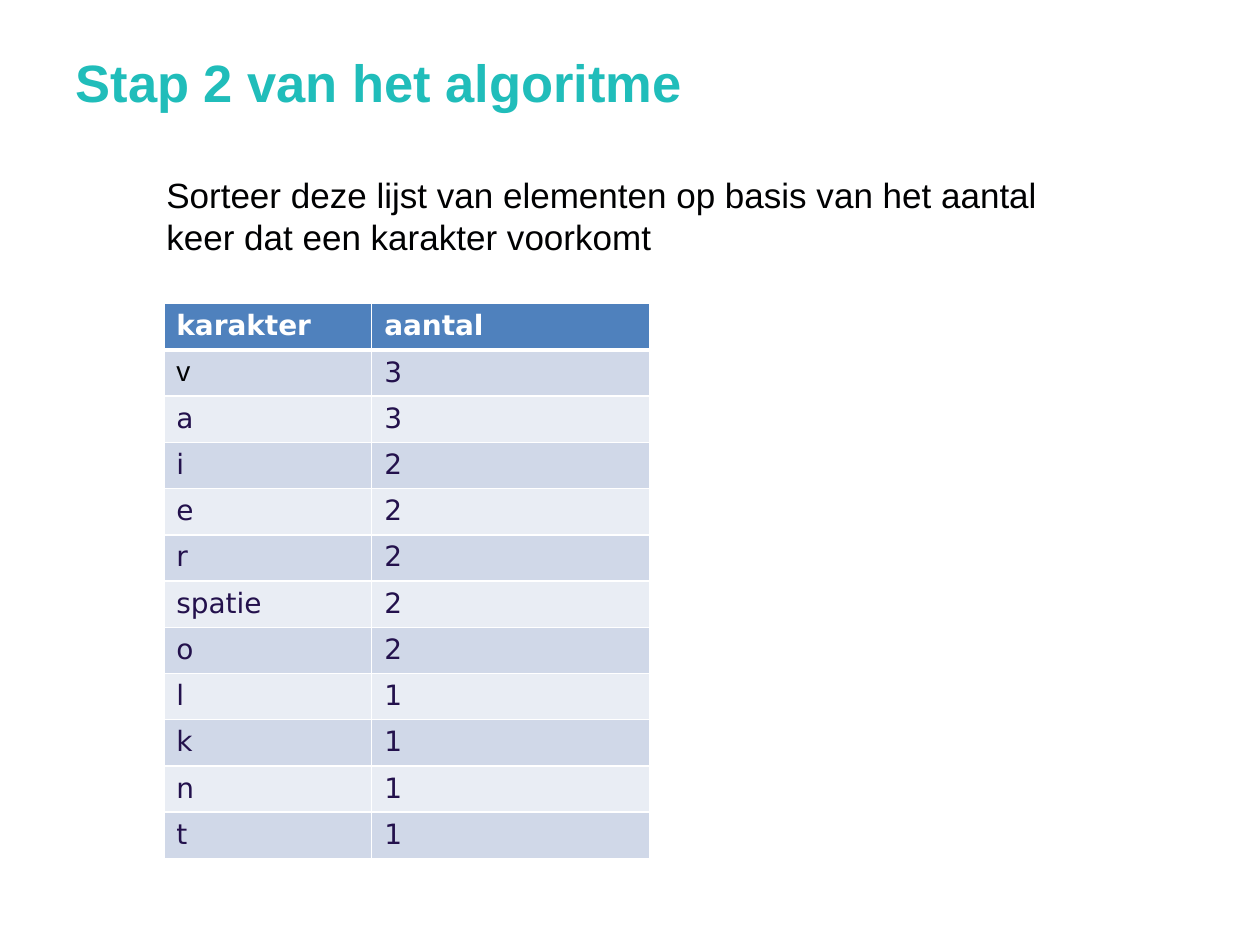
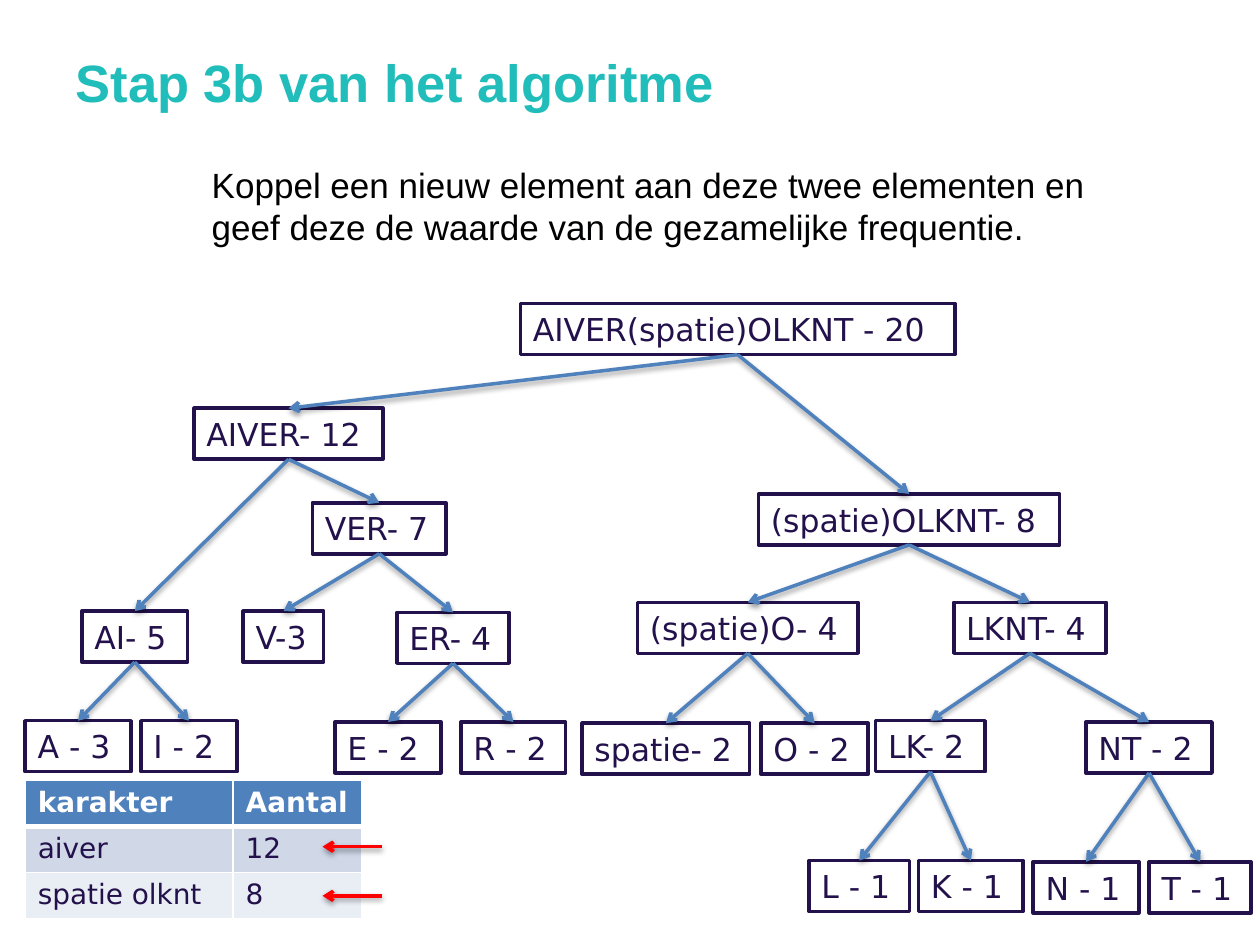
from dataclasses import dataclass
from typing import Any

from lxml import etree
from pptx import Presentation
from pptx import util as u
from pptx.dml.color import RGBColor
from pptx.enum import shapes, text
from pptx.oxml import ns


@dataclass(frozen=True)
class Theme:
    title: str = "20BDBA"
    black: str = "000102"
    ink: str = "23114C"
    blue: str = "4F81BD"
    red: str = "FF0000"
    white: str = "FFFFFF"
    bands: tuple[str, str] = ("D0D8E8", "E9EDF4")
    heading_font: str = "Arial"
    label_font: str = "DejaVu Sans"
    title_size: int = 30
    body_size: int = 20
    node_size: int = 18
    cell_size: int = 16
    line_width: int = 2


@dataclass(frozen=True)
class Area:
    left: float
    top: float
    width: float
    height: float


@dataclass(frozen=True)
class Node:
    label: str
    left: float
    top: float
    width: float
    children: tuple["Node", ...] = ()


@dataclass(frozen=True)
class FrequencyTable:
    left: float
    top: float
    columns: tuple[float, ...]
    rows: tuple[tuple[str, str], ...]


THEME = Theme()
WIDTH, HEIGHT = u.Inches(10), u.Inches(7.5)
GRID_COLUMNS, GRID_ROWS = 100, 75
TITLE_AREA = Area(5, 3, 90, 7.7)
NODE_HEIGHT = 4.05
TABLE_ROW = 3.67

SORTED_COUNTS = FrequencyTable(13, 24.1, (16.5, 22.1), (
    ("karakter", "aantal"), ("v", "3"), ("a", "3"), ("i", "2"), ("e", "2"),
    ("r", "2"), ("spatie", "2"), ("o", "2"), ("l", "1"), ("k", "1"),
    ("n", "1"), ("t", "1")))
REMAINING_COUNTS = FrequencyTable(2, 61.9, (16.5, 10.2), (
    ("karakter", "Aantal"), ("aiver", "12"), ("spatie olknt", "8")))

TREE = Node("AIVER(spatie)OLKNT - 20", 41.3, 24.1, 34.5, (
    Node("AIVER- 12", 15.4, 32.4, 15, (
        Node("AI- 5", 6.5, 48.5, 8.4, (
            Node("A - 3", 2, 57.2, 8.4),
            Node("I - 2", 11.2, 57.2, 7.6))),
        Node("VER- 7", 24.8, 39.9, 10.6, (
            Node("V-3", 19.3, 48.5, 6.4),
            Node("ER- 4", 31.5, 48.6, 8.9, (
                Node("E - 2", 26.6, 57.3, 8.4),
                Node("R - 2", 36.6, 57.3, 8.3))))))),
    Node("(spatie)OLKNT- 8", 60.2, 39.2, 23.9, (
        Node("(spatie)O- 4", 50.6, 47.8, 17.5, (
            Node("spatie- 2", 46.2, 57.4, 13.3),
            Node("O - 2", 60.4, 57.4, 8.5))),
        Node("LKNT- 4", 75.7, 47.8, 12.1, (
            Node("LK- 2", 69.5, 57.2, 8.7, (
                Node("L - 1", 64.2, 68.3, 8),
                Node("K - 1", 72.9, 68.3, 8.3))),
            Node("NT - 2", 86.2, 57.3, 10, (
                Node("N - 1", 82, 68.4, 8.4),
                Node("T - 1", 91.2, 68.4, 8.1)))))))))


def across(columns: float) -> int:
    return round(WIDTH * columns / GRID_COLUMNS)


def down(rows: float) -> int:
    return round(HEIGHT * rows / GRID_ROWS)


def place(area: Area) -> tuple[int, int, int, int]:
    return across(area.left), down(area.top), across(area.width), down(area.height)


def apply_format(target: Any, values: dict[str, Any]) -> None:
    for name, value in values.items():
        setattr(target, name, value)


def add_xml(parent: Any, tag: str, **attributes: Any) -> Any:
    return etree.SubElement(parent, ns.qn(tag),
                            {name: str(value) for name, value in attributes.items()})


def add_solid_fill(parent: Any, color: str) -> Any:
    return add_xml(add_xml(parent, "a:solidFill"), "a:srgbClr", val=color)


def write(paragraph: Any, content: str, size: int, color: str, font: str,
          bold: bool = False) -> None:
    paragraph.text = content
    apply_format(paragraph.alignment and paragraph or paragraph,
                 {"alignment": text.PP_ALIGN.LEFT})
    for run in paragraph.runs:
        apply_format(run.font, {"name": font, "size": u.Pt(size), "bold": bold})
        run.font.color.rgb = RGBColor.from_string(color)


def fill_placeholder(shape: Any, area: Area, margin_top: float) -> Any:
    apply_format(shape, dict(zip(("left", "top", "width", "height"), place(area))))
    apply_format(shape.text_frame, {
        "word_wrap": True, "auto_size": text.MSO_AUTO_SIZE.NONE,
        "vertical_anchor": text.MSO_ANCHOR.TOP, "margin_top": u.Inches(margin_top)})
    return shape.text_frame.paragraphs[0]


def add_step_slide(presentation: Any, title: str, body: str, area: Area,
                   indent: float = 0) -> Any:
    slide = presentation.slides.add_slide(presentation.slide_layouts[1])
    heading = fill_placeholder(slide.shapes.title, TITLE_AREA, 0.1)
    write(heading, title, THEME.title_size, THEME.title, THEME.heading_font, True)
    paragraph = fill_placeholder(slide.placeholders[1], area, 0.07)
    properties = paragraph._p.get_or_add_pPr()
    properties.set("marL", str(across(indent)))
    properties.set("indent", "0")
    add_xml(properties, "a:buNone")
    apply_format(paragraph, {"space_before": u.Pt(0), "line_spacing": u.Pt(24)})
    write(paragraph, body, THEME.body_size, THEME.black, THEME.heading_font)
    return slide


def add_borders(cell: Any, top: int, bottom: int) -> None:
    properties = cell._tc.get_or_add_tcPr()
    for side, points in (("L", 1), ("R", 1), ("T", top), ("B", bottom)):
        border = add_xml(properties, f"a:ln{side}", w=u.Pt(points))
        add_solid_fill(border, THEME.white)


def add_frequency_table(slide: Any, counts: FrequencyTable) -> Any:
    area = Area(counts.left, counts.top, sum(counts.columns), TABLE_ROW * len(counts.rows))
    table = slide.shapes.add_table(len(counts.rows), len(counts.columns), *place(area)).table
    for column, width in zip(table.columns, counts.columns):
        column.width = across(width)
    for index, values in enumerate(counts.rows):
        header = index == 0
        table.rows[index].height = down(TABLE_ROW)
        for cell, value in zip(table.rows[index].cells, values):
            add_borders(cell, 3 if index == 1 else 1, 3 if header else 1)
            cell.fill.solid()
            fill = THEME.blue if header else THEME.bands[(index - 1) % 2]
            cell.fill.fore_color.rgb = RGBColor.from_string(fill)
            write(cell.text_frame.paragraphs[0], value, THEME.cell_size,
                  THEME.white if header else THEME.ink, THEME.label_font, header)
    return table


def add_arrow(slide: Any, color: str, start: tuple[int, int] = (0, 0),
              end: tuple[int, int] = (0, 0)) -> Any:
    arrow = slide.shapes.add_connector(shapes.MSO_CONNECTOR.STRAIGHT, *start, *end)
    arrow.line.width = u.Pt(THEME.line_width)
    arrow.line.color.rgb = RGBColor.from_string(color)
    add_xml(arrow.line._get_or_add_ln(), "a:tailEnd", type="arrow")
    effects = add_xml(arrow._element.spPr, "a:effectLst")
    shadow = add_xml(effects, "a:outerShdw", blurRad=40000, dist=20000,
                     dir=5400000, rotWithShape=0)
    add_xml(add_xml(shadow, "a:srgbClr", val="000000"), "a:alpha", val=38000)
    return arrow


def add_node(slide: Any, node: Node) -> Any:
    area = Area(node.left, node.top, node.width, NODE_HEIGHT)
    box = slide.shapes.add_shape(shapes.MSO_SHAPE.RECTANGLE, *place(area))
    box.shadow.inherit = False
    box.fill.solid()
    box.fill.fore_color.rgb = RGBColor.from_string(THEME.white)
    box.line.color.rgb = RGBColor.from_string(THEME.ink)
    box.line.width = u.Pt(THEME.line_width)
    apply_format(box.text_frame, {"word_wrap": True, "margin_right": 0,
                                  "vertical_anchor": text.MSO_ANCHOR.MIDDLE})
    write(box.text_frame.paragraphs[0], node.label, THEME.node_size,
          THEME.ink, THEME.label_font)
    for child in node.children:
        child_box = add_node(slide, child)
        arrow = add_arrow(slide, THEME.blue)
        arrow.begin_connect(box, 2)
        arrow.end_connect(child_box, 0)
    return box


def main() -> None:
    presentation = Presentation()
    apply_format(presentation, {"slide_width": WIDTH, "slide_height": HEIGHT})

    sorting = add_step_slide(
        presentation, "Stap 2 van het algoritme",
        "Sorteer deze lijst van elementen op basis van het aantal keer dat een karakter voorkomt",
        Area(12.2, 13.1, 77.2, 11.1))
    table = add_frequency_table(sorting, SORTED_COUNTS)
    write(table.cell(1, 0).text_frame.paragraphs[0], "v", THEME.cell_size,
          THEME.black, THEME.heading_font)

    joining = add_step_slide(
        presentation, "Stap 3b van het algoritme",
        "Koppel een nieuw element aan deze twee elementen en geef deze de waarde "
        "van de gezamelijke frequentie.",
        Area(11.4, 12.3, 80.3, 7.7), indent=4.4)
    add_frequency_table(joining, REMAINING_COUNTS)
    add_node(joining, TREE)
    for row in (67.2, 71.1):
        add_arrow(joining, THEME.red, (across(30.3), down(row)), (across(25.6), down(row)))

    presentation.save("out.pptx")


if __name__ == "__main__":
    main()
